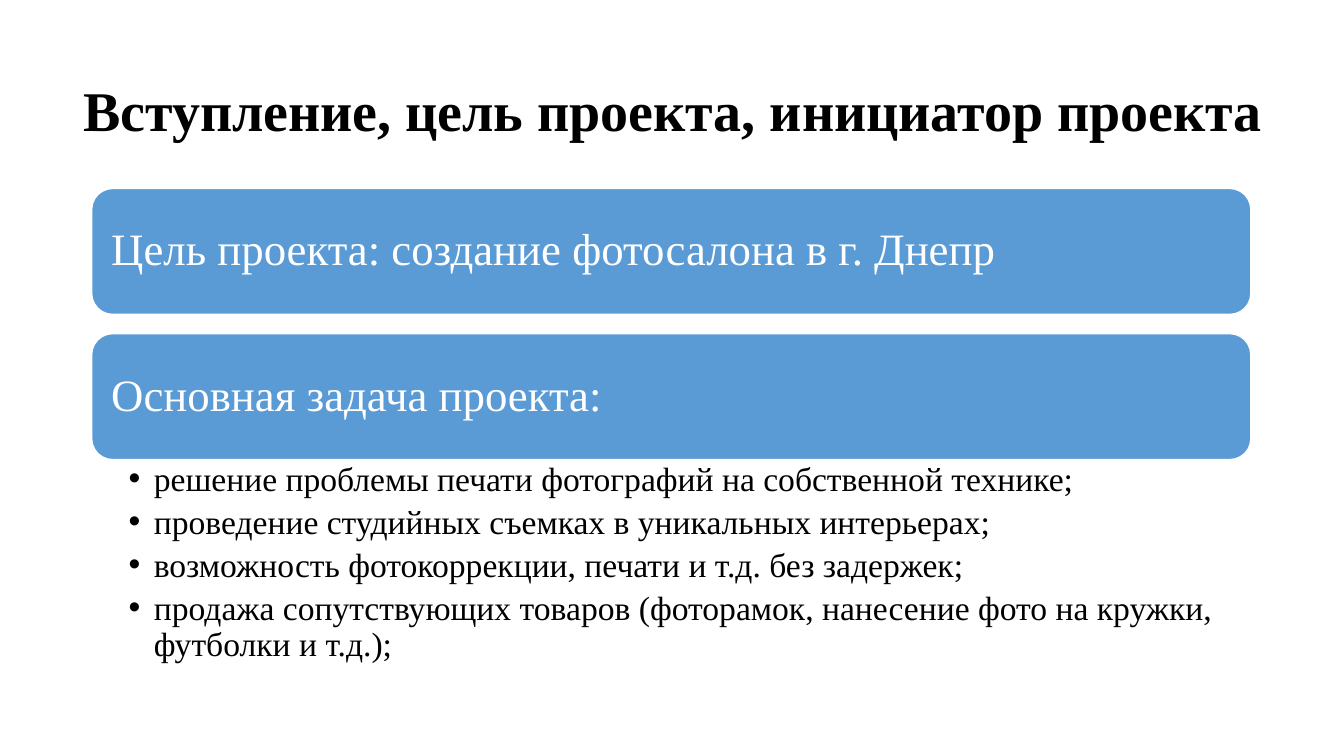
from dataclasses import dataclass

from lxml import etree
from pptx import Presentation
from pptx.dml.color import RGBColor
from pptx.enum import shapes, text
from pptx.oxml.ns import qn
from pptx.util import Pt

FONT = "Times New Roman"
BLACK, WHITE, BLUE = "000000", "FFFFFF", "5B9BD5"
LEFT, WIDTH = 65.5, 828
BANNER_TOP, BANNER_HEIGHT, BANNER_PITCH = 134.6, 90, 103.7


@dataclass(frozen=True)
class TextStyle:
    size: float
    color: str
    bold: bool = False
    align: text.PP_ALIGN = text.PP_ALIGN.LEFT
    space_after: float = 0


TITLE = TextStyle(40, BLACK, bold=True, align=text.PP_ALIGN.CENTER)
BANNER = TextStyle(32, WHITE)
TASK = TextStyle(24, BLACK, space_after=4.8)


def rgb(color: str) -> RGBColor:
    return RGBColor.from_string(color)


def set_attributes(target, values: dict) -> None:
    for name, value in values.items():
        setattr(target, name, value)


def place(shape, left: float, top: float, width: float, height: float) -> None:
    set_attributes(shape, {"left": Pt(left), "top": Pt(top),
                           "width": Pt(width), "height": Pt(height)})


def format_frame(frame, anchor, margins: tuple) -> None:
    sides = ("margin_left", "margin_top", "margin_right", "margin_bottom")
    set_attributes(frame, {"word_wrap": True, "auto_size": text.MSO_AUTO_SIZE.NONE,
                           "vertical_anchor": anchor})
    set_attributes(frame, {side: Pt(margin) for side, margin in zip(sides, margins)})


def write(paragraph, wording: str, style: TextStyle) -> None:
    set_attributes(paragraph, {"alignment": style.align, "line_spacing": 0.9,
                               "space_before": Pt(0),
                               "space_after": Pt(style.space_after)})
    run = paragraph.add_run()
    run.text = wording
    set_attributes(run.font, {"name": FONT, "size": Pt(style.size), "bold": style.bold})
    run.font.color.rgb = rgb(style.color)


def add_bullet(paragraph, indent: float) -> None:
    properties = paragraph._p.get_or_add_pPr()
    properties.set("marL", str(Pt(indent)))
    properties.set("indent", str(-Pt(indent)))
    etree.SubElement(properties, qn("a:buFont"), typeface="Arial")
    etree.SubElement(properties, qn("a:buChar"), char="•")


def add_banner(slide, top: float, wording: str) -> None:
    shape = slide.shapes.add_shape(shapes.MSO_SHAPE.ROUNDED_RECTANGLE, Pt(LEFT), Pt(top),
                                   Pt(WIDTH), Pt(BANNER_HEIGHT))
    shape.shadow.inherit = False
    shape.fill.solid()
    shape.fill.fore_color.rgb = rgb(BLUE)
    shape.line.color.rgb = rgb(WHITE)
    shape.line.width = Pt(1)
    format_frame(shape.text_frame, text.MSO_ANCHOR.MIDDLE, (9.6,) * 4)
    write(shape.text_frame.paragraphs[0], wording, BANNER)


def add_tasks(slide, top: float, tasks: list[str]) -> None:
    box = slide.shapes.add_textbox(Pt(LEFT), Pt(top), Pt(WIDTH), Pt(147))
    frame = box.text_frame
    format_frame(frame, text.MSO_ANCHOR.TOP, (26.4, 2.4, 13.6, 2.4))
    for index, task in enumerate(tasks):
        paragraph = frame.add_paragraph() if index else frame.paragraphs[0]
        write(paragraph, task, TASK)
        add_bullet(paragraph, 18)


presentation = Presentation()
set_attributes(presentation, {"slide_width": Pt(960), "slide_height": Pt(540)})
slide = presentation.slides.add_slide(presentation.slide_layouts[5])

# Title
title = slide.shapes.title
place(title, 24, 28.75, 913, 104.4)
format_frame(title.text_frame, text.MSO_ANCHOR.MIDDLE, (7.2, 3.6, 7.2, 3.6))
write(title.text_frame.paragraphs[0],
      "Вступление, цель проекта, инициатор проекта", TITLE)

# Goal and main task banners
banners = ["Цель проекта: создание фотосалона в г. Днепр", "Основная задача проекта:"]
for row, wording in enumerate(banners):
    add_banner(slide, BANNER_TOP + row * BANNER_PITCH, wording)

# Task list directly below the last banner
add_tasks(slide, BANNER_TOP + BANNER_PITCH + BANNER_HEIGHT - 0.5, [
    "решение проблемы печати фотографий на собственной технике;",
    "проведение студийных съемках в уникальных интерьерах;",
    "возможность фотокоррекции, печати и т.д. без задержек;",
    "продажа сопутствующих товаров (фоторамок, нанесение фото на кружки, "
    "футболки и т.д.);",
])

presentation.save("out.pptx")
